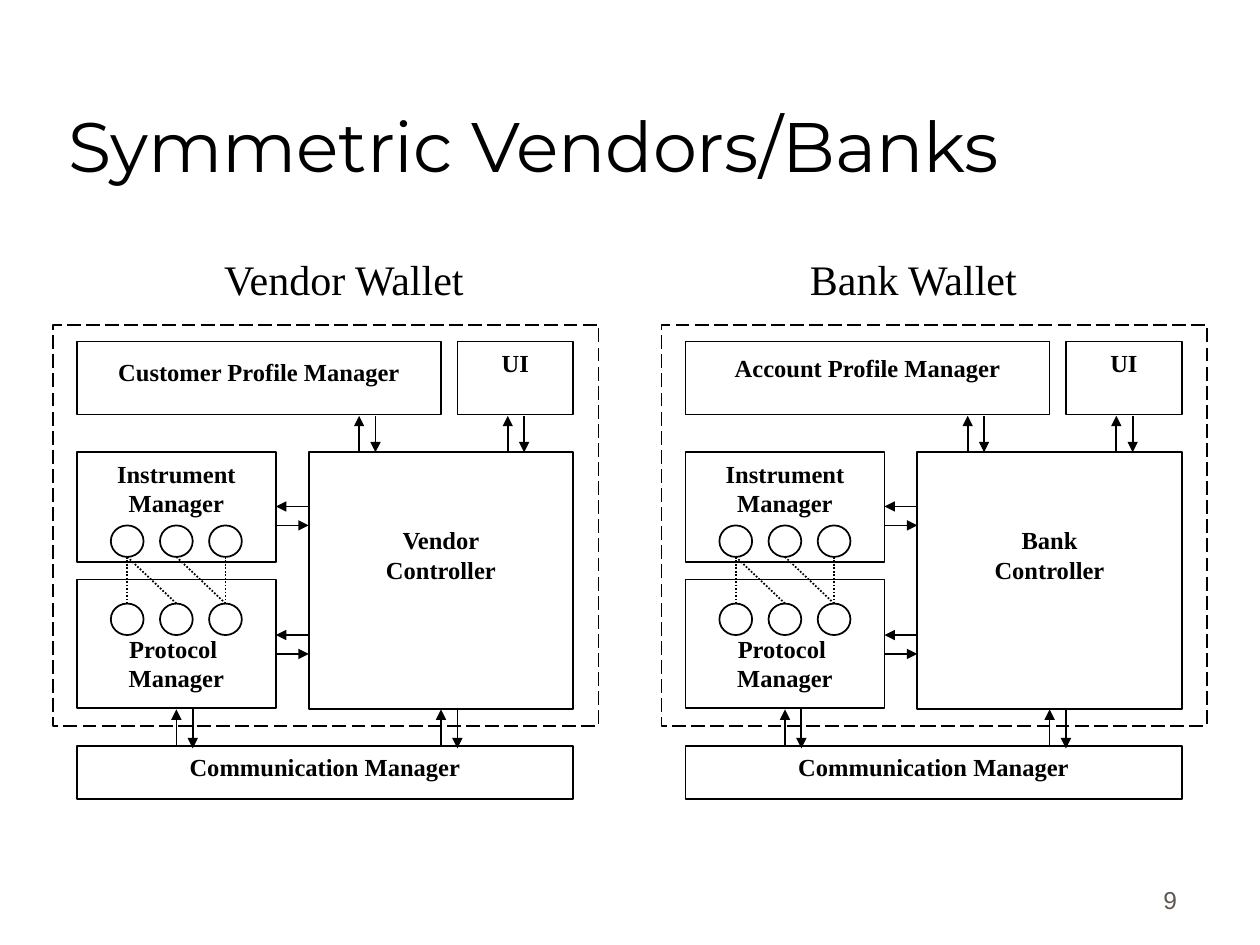
from dataclasses import dataclass

from pptx import Presentation
from pptx.dml.color import RGBColor
from pptx.enum.dml import MSO_LINE_DASH_STYLE as Dash
from pptx.enum.shapes import MSO_CONNECTOR as Connector, MSO_SHAPE as Preset
from pptx.enum.text import MSO_ANCHOR as Anchor, PP_ALIGN as Align
from pptx.oxml.ns import qn
from pptx.util import Inches, Pt
from lxml.etree import SubElement


@dataclass(frozen=True)
class Theme:
    ink: RGBColor = RGBColor(0, 0, 0)
    muted: RGBColor = RGBColor(0x5E, 0x57, 0x4E)
    title_font: str = "Montserrat"
    body_font: str = "Times New Roman"
    number_font: str = "Arial"
    title_size: int = 40
    heading_size: int = 24
    label_size: int = 14
    line_width: int = 1


def apply(target, formats):
    for name, value in formats.items():
        setattr(target, name, value)


class WalletSlide:
    """Draws wallet diagrams on one slide in one theme."""

    def __init__(self, slide, theme):
        self.slide, self.theme = slide, theme
        self.canvas, self.shift = slide.shapes, 0

    def start_group(self, shift):
        self.canvas, self.shift = self.slide.shapes.add_group_shape().shapes, shift

    def set_words(self, holder, lines, size, font, align=Align.LEFT, bold=False,
                  color=None, anchor=Anchor.TOP, wrap=True, top=0.05, bottom=0.05):
        frame = holder.text_frame
        apply(frame, {
            "text": "\n".join(lines), "word_wrap": wrap, "vertical_anchor": anchor,
            "margin_left": Inches(0.1), "margin_right": Inches(0.1),
            "margin_top": Inches(top), "margin_bottom": Inches(bottom),
        })
        for paragraph in frame.paragraphs:
            paragraph.alignment = align
            for run in paragraph.runs:
                apply(run.font, {"size": Pt(size), "name": font, "bold": bold})
                run.font.color.rgb = color or self.theme.ink

    def title(self, words, box):
        heading = self.slide.shapes.title
        apply(heading, dict(zip(("left", "top", "width", "height"), map(Inches, box))))
        self.set_words(heading, [words], self.theme.title_size, self.theme.title_font,
                       anchor=Anchor.BOTTOM, bottom=0.02)

    def text(self, words, box, size, font, **formats):
        holder = self.slide.shapes.add_textbox(*map(Inches, box))
        self.set_words(holder, [words], size, font, **formats)

    def stroke(self, line, dash=None):
        line.color.rgb = self.theme.ink
        apply(line, {"width": Pt(self.theme.line_width), "dash_style": dash})

    def outline(self, preset, box, lines=(), top=0.05, dash=None):
        left, *rest = box
        shape = self.canvas.add_shape(preset, *map(Inches, (left + self.shift, *rest)))
        shape.shadow.inherit = False
        shape.fill.background()
        self.stroke(shape.line, dash)
        if lines:
            self.set_words(shape, lines, self.theme.label_size, self.theme.body_font,
                           align=Align.CENTER, bold=True, top=top)

    def link(self, tip, tail, dash=None, arrow=True):
        ends = (tip[0] + self.shift, tip[1], tail[0] + self.shift, tail[1])
        connector = self.canvas.add_connector(Connector.STRAIGHT, *map(Inches, ends))
        self.stroke(connector.line, dash)
        properties = connector.element.spPr
        if arrow:
            SubElement(properties.find(qn("a:ln")), qn("a:headEnd"),
                       type="triangle", w="med", len="med")
        SubElement(properties, qn("a:effectLst"))

    def vertical_exchange(self, x, upper, lower, overlap=0):
        self.link((x, upper), (x, lower))
        self.link((x + 0.13, lower + overlap), (x + 0.13, upper))

    def horizontal_exchange(self, y, left, right):
        self.link((left, y), (right, y))
        self.link((right, y + 0.15), (left, y + 0.15))

    def wallet(self, shift, profile, profile_top, owner):
        self.start_group(shift)
        self.outline(Preset.RECTANGLE, (0.42, 2.58, 4.33, 3.18), dash=Dash.LONG_DASH)
        for box, lines, top in (
            ((0.61, 2.71, 2.89, 0.58), [profile], profile_top),
            ((3.63, 2.71, 0.92, 0.58), ["UI"], 0.05),
            ((0.61, 3.59, 1.58, 0.87), ["Instrument Manager"], 0.05),
            ((0.61, 4.6, 1.58, 1.02), ["Protocol ", "Manager"], 0.43),
            ((2.45, 3.59, 2.1, 2.04), [owner, "Controller"], 0.58),
            ((0.61, 5.92, 3.94, 0.42), ["Communication Manager"], 0.05),
        ):
            self.outline(Preset.RECTANGLE, box, lines, top)

        for x in (2.85, 4.03):
            self.vertical_exchange(x, 3.3, 3.59)
        for x in (1.4, 3.5):
            self.vertical_exchange(x, 5.63, 5.92, overlap=0.02)
        for y in (4.02, 5.04):
            self.horizontal_exchange(y, 2.19, 2.45)

        centers = [1.01 + 0.39 * column for column in range(3)]
        for top in (4.17, 4.79):
            for center in centers:
                self.outline(Preset.OVAL, (center - 0.13, top, 0.26, 0.25))
        for instrument, protocol in ((0, 0), (0, 1), (1, 2), (2, 2)):
            self.link((centers[instrument], 4.42), (centers[protocol], 4.79),
                      dash=Dash.ROUND_DOT, arrow=False)


def main():
    deck = Presentation()
    apply(deck, {"slide_width": Inches(10), "slide_height": Inches(7.5)})
    theme = Theme()
    page = WalletSlide(deck.slides.add_slide(deck.slide_layouts[5]), theme)
    page.title("Symmetric Vendors/Banks", (0.44, 0.25, 8.5, 1.25))
    page.wallet(0, "Customer Profile Manager", 0.12, "Vendor")
    page.wallet(4.83, "Account Profile Manager", 0.09, "Bank")
    for heading, left, width in (("Vendor Wallet", 1.68, 2.17), ("Bank Wallet", 6.33, 1.87)):
        page.text(heading, (left, 1.96, width, 0.5), theme.heading_size,
                  theme.body_font, wrap=False)
    page.text("9", (7.36, 6.81, 2.08, 0.5), theme.label_size, theme.number_font,
              align=Align.RIGHT, color=theme.muted, anchor=Anchor.BOTTOM)
    deck.save("out.pptx")


if __name__ == "__main__":
    main()
